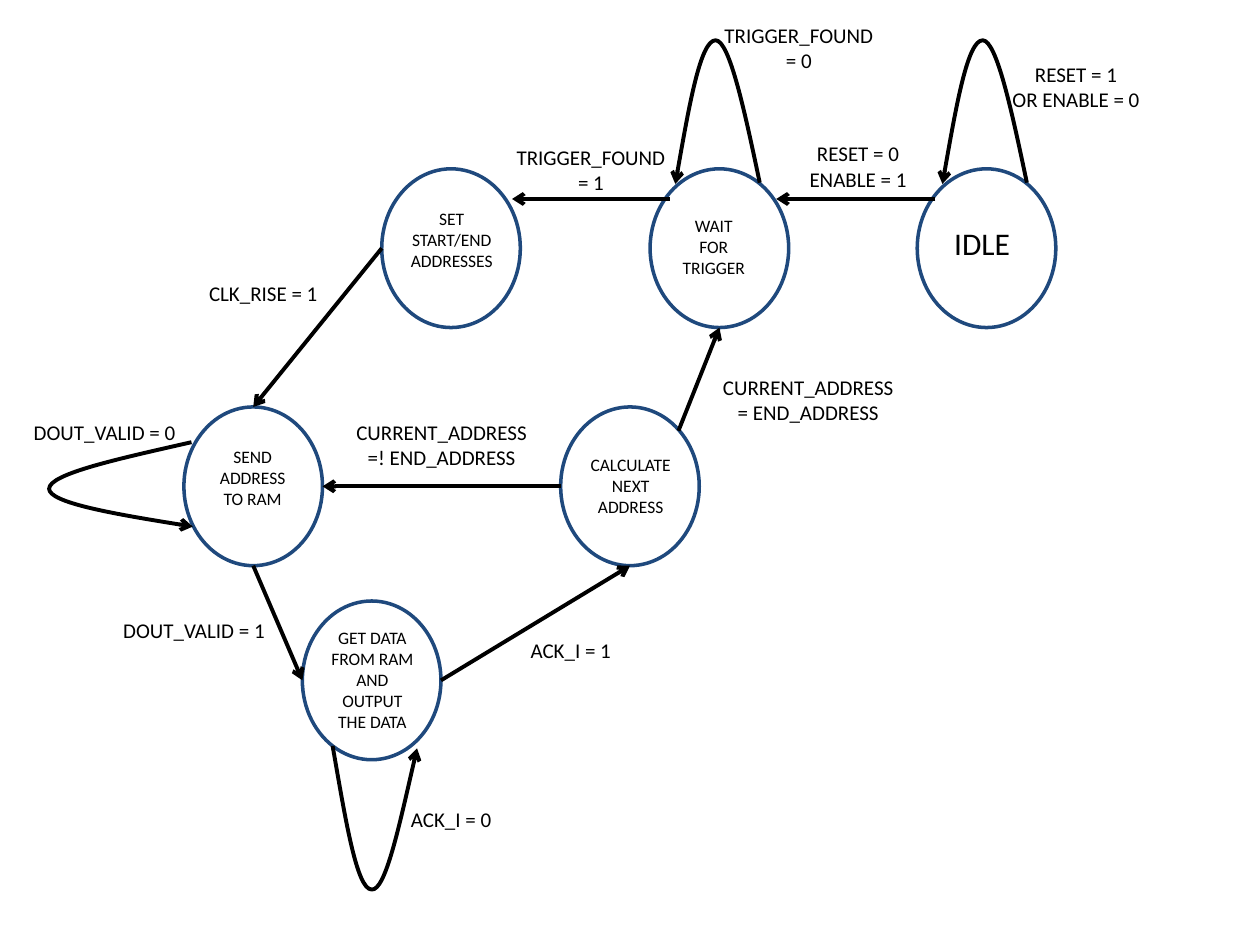
from typing import NamedTuple

from lxml.etree import SubElement
from pptx import Presentation
from pptx.dml.color import RGBColor
from pptx.enum.shapes import MSO_CONNECTOR, MSO_SHAPE
from pptx.enum.text import MSO_AUTO_SIZE, PP_ALIGN
from pptx.oxml.ns import qn
from pptx.util import Inches, Pt

BLACK, NAVY = "000000", "1F497D"
OVAL_W, OVAL_H = 1.1, 1.26
TOP, MID, LOW = 1.34, 3.23, 4.77  # rows of states

Point = tuple[float, float]


class State(NamedTuple):
    left: float
    top: float
    text: str
    box: tuple[float, float, float, float]  # text area, from the oval's corner
    size: int = 10


class Arrow(NamedTuple):
    start: Point
    end: Point


class Label(NamedTuple):
    left: float
    top: float
    text: str
    width: float = 1.42


class Loop(NamedTuple):
    state: State
    curve: list[Point]  # start, then two Bezier segments


# States
IDLE = State(7.28, TOP, "IDLE", (0.16, 0.39, 0.71, 0.4), 18)
WAIT = State(5.16, TOP, "WAIT FOR TRIGGER", (0.15, 0.32, 0.71, 0.61))
SET = State(3.03, TOP, "SET START/END ADDRESSES", (0.12, 0.26, 0.87, 0.63))
SEND = State(1.46, MID, "SEND ADDRESS TO RAM", (0.11, 0.26, 0.87, 0.61))
GET = State(2.4, LOW, "GET DATA FROM RAM AND OUTPUT THE DATA",
            (0.12, 0.16, 0.87, 0.94))
CALC = State(4.45, MID, "CALCULATE NEXT ADDRESS", (0.12, 0.32, 0.87, 0.61))
STATES = [IDLE, WAIT, SET, SEND, GET, CALC]


def at(state: State, x: float, y: float) -> Point:
    """Point at a share of the oval's width and height."""
    return state.left + x * OVAL_W, state.top + y * OVAL_H


# Transitions
ARROWS = [
    Arrow(at(IDLE, 0.13, 0.19), at(WAIT, 0.91, 0.19)),
    Arrow(at(WAIT, 0.14, 0.19), at(SET, 0.94, 0.19)),
    Arrow(at(SET, 0, 0.5), at(SEND, 0.5, 0)),
    Arrow(at(SEND, 0.5, 1), at(GET, 0, 0.5)),
    Arrow(at(GET, 1, 0.5), at(CALC, 0.5, 1)),
    Arrow(at(CALC, 0, 0.5), at(SEND, 1, 0.5)),
    Arrow(at(CALC, 0.85, 0.15), at(WAIT, 0.5, 1)),
]

# Self loops, measured from the oval's corner
UP = [(0.87, 0.11), (0.75, -0.46), (0.63, -1.02), (0.52, -1.02),
      (0.4, -1.02), (0.3, -0.45), (0.2, 0.12)]
DOWN = [(0.24, 1.15), (0.34, 1.72), (0.43, 2.29), (0.55, 2.29),
        (0.66, 2.3), (0.78, 1.73), (0.91, 1.17)]
SIDE = [(0.06, 0.28), (-0.51, 0.41), (-1.07, 0.53), (-1.07, 0.65),
        (-1.07, 0.76), (-0.5, 0.86), (0.07, 0.95)]
LOOPS = [Loop(IDLE, UP), Loop(WAIT, UP), Loop(GET, DOWN), Loop(SEND, SIDE)]

LABELS = [
    Label(6.1, 1.07, "RESET = 0\nENABLE = 1"),
    Label(3.98, 1.1, "TRIGGER_FOUND= 1"),
    Label(0.83, 4.85, "DOUT_VALID = 1"),
    Label(5.63, 2.92, "CURRENT_ADDRESS = END_ADDRESS", 1.57),
    Label(2.72, 3.28, "CURRENT_ADDRESS =! END_ADDRESS", 1.57),
    Label(1.38, 2.18, "CLK_RISE = 1"),
    Label(7.83, 0.44, "RESET = 1\nOR ENABLE = 0"),
    Label(5.63, 0.13, "TRIGGER_FOUND= 0"),
    Label(0.12, 3.28, "DOUT_VALID = 0"),
    Label(3.82, 5.01, "ACK_I = 1"),
    Label(2.87, 6.35, "ACK_I = 0"),
]


def paint(fmt, color: str) -> None:
    fmt.solid()
    fmt.fore_color.rgb = RGBColor.from_string(color)


def stroke(line, color: str, width: float) -> None:
    paint(line.fill, color)
    line.width = Pt(width)


def add_head(shape) -> None:
    line = shape._element.spPr.find(qn("a:ln"))
    SubElement(line, qn("a:tailEnd"), type="arrow")


def add_text(shapes, left: float, top: float, width: float, height: float,
             text: str, size: int) -> None:
    box = shapes.add_textbox(*map(Inches, (left, top, width, height)))
    frame = box.text_frame
    frame.word_wrap = True
    frame.auto_size = MSO_AUTO_SIZE.SHAPE_TO_FIT_TEXT
    frame.text = text
    for para in frame.paragraphs:
        para.alignment = PP_ALIGN.CENTER
        para.font.name = "Calibri"
        para.font.size = Pt(size)
        para.font.color.rgb = RGBColor.from_string(BLACK)


def add_state(shapes, state: State) -> None:
    group = shapes.add_group_shape().shapes
    oval = group.add_shape(MSO_SHAPE.OVAL, *map(
        Inches, (state.left, state.top, OVAL_W, OVAL_H)))
    oval.shadow.inherit = False
    oval.fill.background()
    stroke(oval.line, NAVY, 2)
    dx, dy, width, height = state.box
    add_text(group, state.left + dx, state.top + dy, width, height,
             state.text, state.size)


def add_arrow(shapes, arrow: Arrow) -> None:
    link = shapes.add_connector(MSO_CONNECTOR.STRAIGHT, *map(
        Inches, arrow.start + arrow.end))
    stroke(link.line, BLACK, 2.25)
    add_head(link)
    SubElement(link._element.spPr, qn("a:effectLst"))


def add_loop(shapes, loop: Loop) -> None:
    left, top = loop.state.left, loop.state.top
    first, *rest = [(Inches(left + x), Inches(top + y)) for x, y in loop.curve]
    pen = shapes.build_freeform(*first)
    pen.add_line_segments(rest, close=False)
    shape = pen.convert_to_shape()
    shape.shadow.inherit = False
    shape.fill.background()
    stroke(shape.line, BLACK, 2.25)
    add_head(shape)
    # Turn each three straight steps into one Bezier segment
    steps = list(shape._element.iter(qn("a:lnTo")))
    for i in range(0, len(steps), 3):
        outline = steps[i].getparent()
        bend = SubElement(outline, qn("a:cubicBezTo"))
        for step in steps[i:i + 3]:
            bend.append(step[0])
            outline.remove(step)


deck = Presentation()
deck.slide_width, deck.slide_height = Inches(10), Inches(7.5)
shapes = deck.slides.add_slide(deck.slide_layouts[6]).shapes

for state in STATES:
    add_state(shapes, state)
for arrow in ARROWS:
    add_arrow(shapes, arrow)
for loop in LOOPS:
    add_loop(shapes, loop)
for label in LABELS:
    tall = "\n" in label.text or len(label.text) > 14
    add_text(shapes, label.left, label.top, label.width,
             0.5 if tall else 0.3, label.text, 12)

deck.save("out.pptx")
